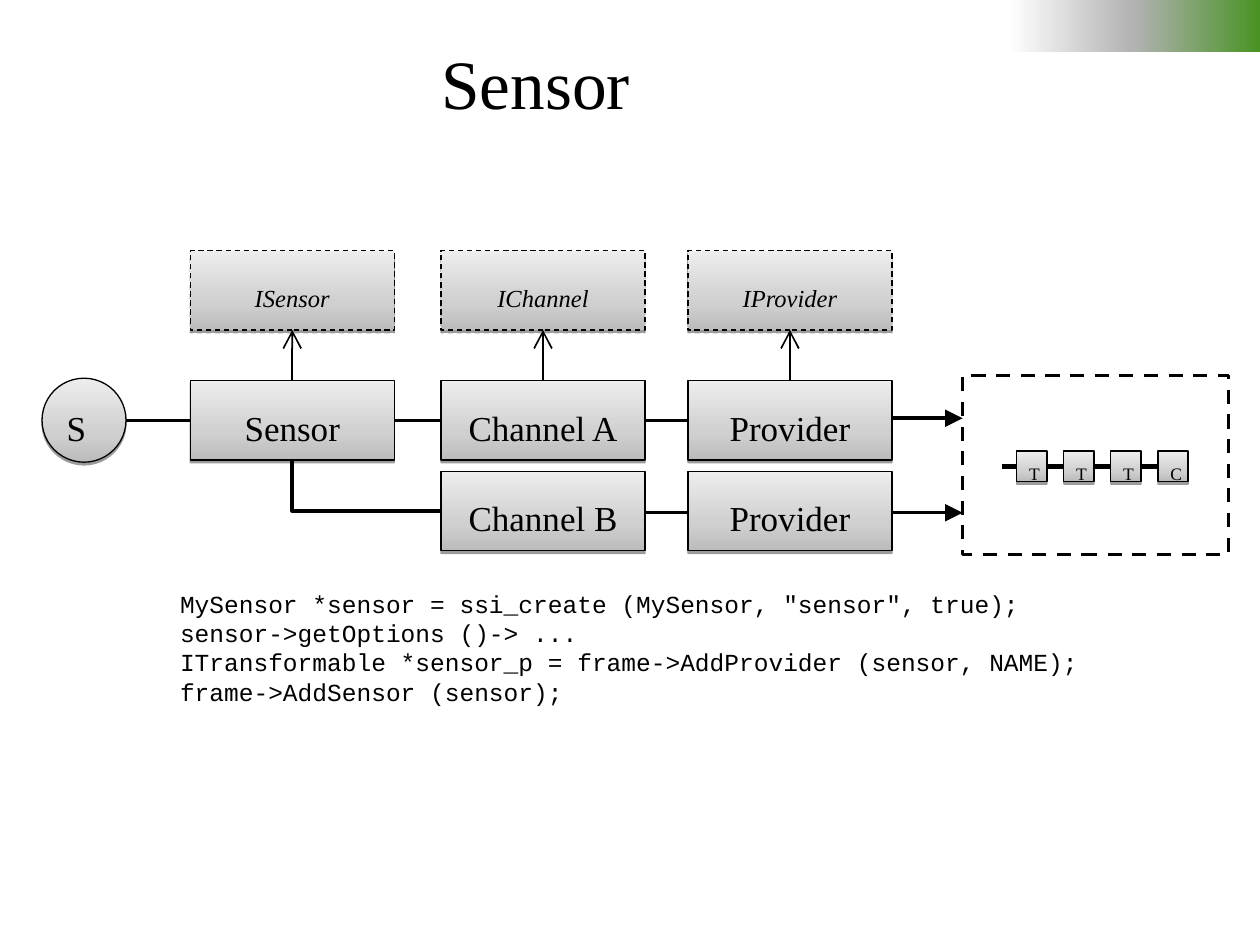
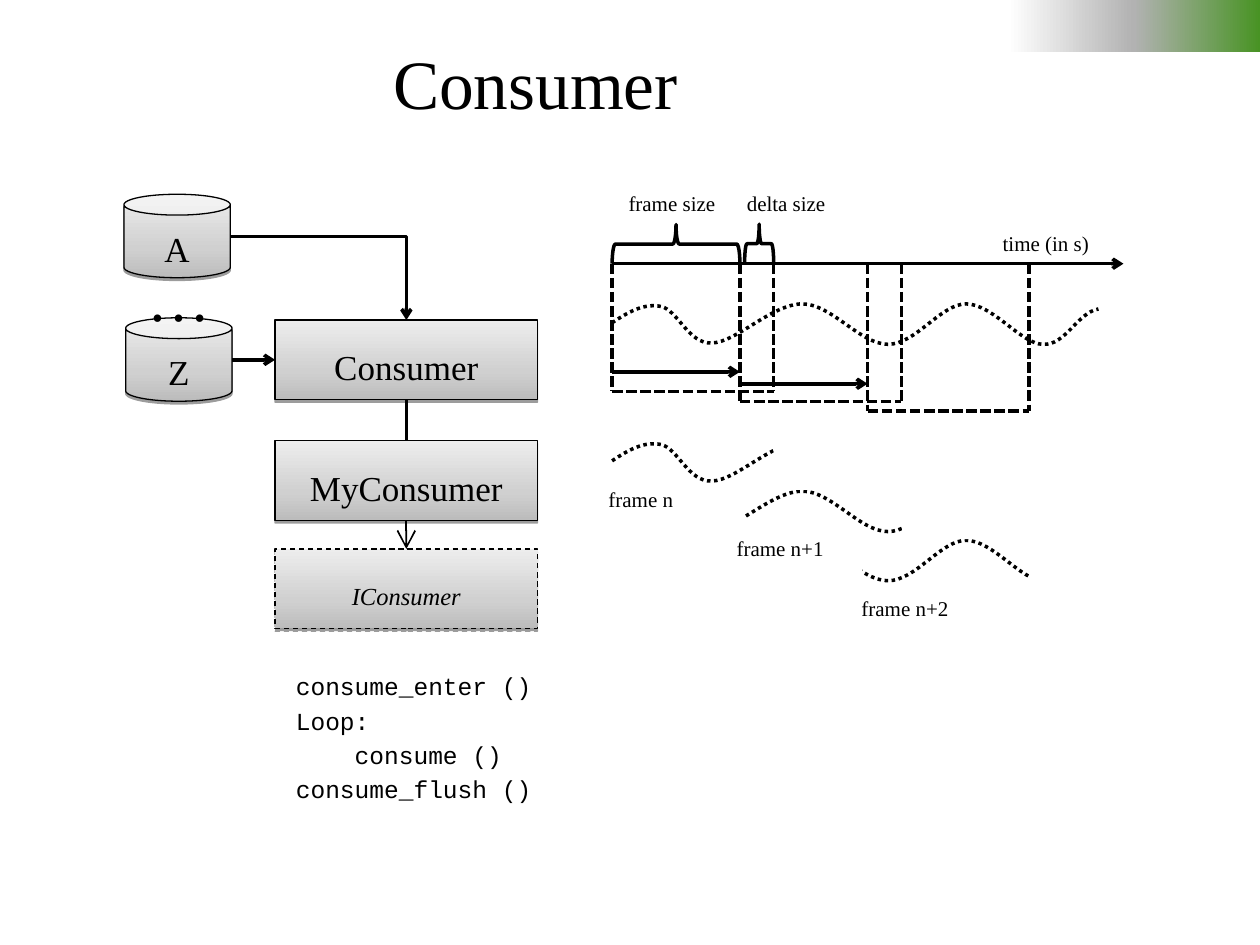
from lxml import etree
from pptx import Presentation
from pptx.dml.color import RGBColor
from pptx.enum.dml import MSO_LINE
from pptx.enum.shapes import MSO_CONNECTOR, MSO_SHAPE
from pptx.enum.text import MSO_ANCHOR, MSO_AUTO_SIZE, PP_ALIGN
from pptx.oxml import parse_xml
from pptx.oxml.ns import nsdecls, qn
from pptx.util import Pt

RECT, OVAL, CAN = MSO_SHAPE.RECTANGLE, MSO_SHAPE.OVAL, MSO_SHAPE.CAN
BRACE = MSO_SHAPE.LEFT_BRACE
DASH, SQUARE, ROUND = MSO_LINE.DASH, MSO_LINE.SQUARE_DOT, MSO_LINE.ROUND_DOT
STRAIGHT, ELBOW = MSO_CONNECTOR.STRAIGHT, MSO_CONNECTOR.ELBOW
LEFT, CENTER = PP_ALIGN.LEFT, PP_ALIGN.CENTER
TOP, MIDDLE = MSO_ANCHOR.TOP, MSO_ANCHOR.MIDDLE
GROW = MSO_AUTO_SIZE.SHAPE_TO_FIT_TEXT

COLORS = {"ink": "000000", "paper": "FFFFFF", "silver": "B2B2B2", "green": "489324",
          "dark": "BCBCBC", "mid": "D0D0D0", "light": "EDEDED"}
SERIF, MONO = "Times New Roman", "Courier New"
METAL = [(0, "dark"), (35, "mid"), (100, "light")]
BAND = [(80, "paper"), (90, "silver"), (100, "green")]
INSET = (7.2, 11.5, 7.2, 3.6)
PLAIN = (7.2, 3.6, 7.2, 3.6)
NODE_H = 45.4

# Start of the wave, then three Bezier points for each arc
WAVE = [(0, 11.5),
        (8.6, 5.8), (18, 0), (28.1, 2.2),
        (37.4, 4.3), (43.9, 23.8), (56.9, 23),
        (70.6, 23), (91.4, 0.7), (108.7, 0.7),
        (125.3, 0.7), (141.8, 23.8), (157.7, 23.8),
        (173.5, 23.8), (187.9, 0.7), (202.3, 0.7),
        (217.4, 0.7), (234, 23.8), (246.2, 23.8),
        (259.2, 24.5), (265.7, 5.8), (277.9, 3.6)]


def color(name):
    return RGBColor.from_string(COLORS[name])


def write(shape, text, size=20, font=SERIF, italic=False, align=CENTER, anchor=MIDDLE,
          inset=INSET, wrap=False, grow=False, before=0, pitch=None):
    """Fill a shape with one paragraph for each line of text."""
    frame = shape.text_frame
    frame.word_wrap = wrap
    frame.vertical_anchor = anchor
    frame.margin_left, frame.margin_top, frame.margin_right, frame.margin_bottom = map(Pt, inset)
    if grow:
        frame.auto_size = GROW
    for i, line in enumerate(text.split("\n")):
        para = frame.add_paragraph() if i else frame.paragraphs[0]
        para.alignment = align
        if i and before:
            para.space_before = Pt(before)
        if pitch:
            para.line_spacing = Pt(pitch)
        run = para.add_run()
        run.text = line
        run.font.size, run.font.name, run.font.italic = Pt(size), font, italic
        run.font.color.rgb = color("ink")


def note(slide, box, text, **style):
    area = slide.shapes.add_textbox(*map(Pt, box))
    write(area, text, **style)


def label(slide, x, y, w, text):
    note(slide, (x, y, w, 21.6), text, size=12, align=LEFT, anchor=TOP, inset=PLAIN, grow=True)


def code(slide, box, text, **style):
    note(slide, box, text, size=14, font=MONO, align=LEFT, anchor=TOP, inset=PLAIN,
         grow=True, pitch=16.75, **style)


def stroke(line, width, dash=None):
    line.color.rgb = color("ink")
    line.width = Pt(width)
    if dash:
        line.dash_style = dash


def blend(shape, stops, angle):
    """Give a shape a linear gradient."""
    shape.fill.background()
    props = shape._element.spPr
    marks = "".join(f'<a:gs pos="{at * 1000}"><a:srgbClr val="{COLORS[name]}"/></a:gs>'
                    for at, name in stops)
    props.replace(props.find(qn("a:noFill")), parse_xml(
        f'<a:gradFill {nsdecls("a")} rotWithShape="1"><a:gsLst>{marks}</a:gsLst>'
        f'<a:lin ang="{angle * 60000}" scaled="0"/></a:gradFill>'))


def node(slide, box, text, kind=RECT, dash=None, **style):
    """Draw a metallic shape with a crisp shadow and a caption."""
    shape = slide.shapes.add_shape(kind, *map(Pt, box))
    blend(shape, METAL, 270)
    stroke(shape.line, 0.75, dash)
    shape.shadow.inherit = False
    shape._element.spPr.find(qn("a:effectLst")).append(parse_xml(
        f'<a:outerShdw {nsdecls("a")} blurRad="0" dist="{Pt(1.6)}" dir="5400000" rotWithShape="0">'
        f'<a:srgbClr val="{COLORS["ink"]}"><a:alpha val="38000"/></a:srgbClr></a:outerShdw>'))
    write(shape, text, **style)
    return shape


def iface(slide, box, text):
    return node(slide, box, text, dash=DASH, size=14, italic=True)


def link(slide, start, end, width=2, head=None, large=False, dash=None, bend=False):
    """Join two ends, each a point (x, y) or a pair (shape, side)."""
    glued = [not isinstance(tip[0], (int, float)) for tip in (start, end)]
    spots = [(0, 0) if stuck else tip for stuck, tip in zip(glued, (start, end))]
    wire = slide.shapes.add_connector(ELBOW if bend else STRAIGHT,
                                      *(Pt(v) for spot in spots for v in spot))
    if glued[0]:
        wire.begin_connect(*start)
    if glued[1]:
        wire.end_connect(*end)
    stroke(wire.line, width, dash)
    props = wire._element.spPr
    if bend:
        props.find(qn("a:prstGeom")).set("prst", "bentConnector2")
    if head:
        scale = "lg" if large else "med"
        etree.SubElement(props.find(qn("a:ln")), qn("a:tailEnd"), type=head, w=scale, len=scale)
    etree.SubElement(props, qn("a:effectLst"))


def base(deck, title):
    """Add a slide with the top band and its title."""
    slide = deck.slides.add_slide(deck.slide_layouts[6])
    band = slide.shapes.add_shape(RECT, 0, 0, deck.slide_width, Pt(30))
    blend(band, BAND, 0)
    band.line.fill.background()
    band.shadow.inherit = False
    note(slide, (96, 21.6, 420, 50.4), title, size=39.6, inset=PLAIN, wrap=True)
    return slide


def chain(slide, box):
    """Draw the dashed frame with its row of small steps."""
    x, y, w, h = box
    frame = slide.shapes.add_shape(RECT, *map(Pt, box))
    frame.fill.background()
    frame.shadow.inherit = False
    stroke(frame.line, 2, DASH)
    side, step = 17.3, 26.9
    top = y + 43.2
    last = (x + 22.3, top + side / 2)
    for i, name in enumerate("TTTC"):
        part = node(slide, (x + 30.9 + i * step, top, side, side), name, size=10, align=LEFT)
        link(slide, last, (part, 1), width=3)
        last = (part, 3)


def flow(slide, box):
    """Draw the sensor, its channels and providers with their interfaces."""
    x, y, w, h = box
    cols = [x + dx for dx in (84.7, 228, 369.1)]
    wide, row_a, row_b = 116.6, y + 74.3, y + 126.1
    names = ["Sensor", "Channel A", "Provider"]
    upper = [node(slide, (col, row_a, wide, NODE_H), name) for col, name in zip(cols, names)]
    lower = [node(slide, (col, row_b, wide, NODE_H), name)
             for col, name in zip(cols[1:], ["Channel B", "Provider"])]
    for col, part, name in zip(cols, upper, ["ISensor", "IChannel", "IProvider"]):
        face = iface(slide, (col, y, wide, NODE_H), name)
        link(slide, (part, 0), (face, 2), width=1, head="arrow", large=True)
    node(slide, (x, y + 72.9, 48, 48), "S", kind=OVAL, align=LEFT)
    link(slide, (x + 48, row_a + NODE_H / 2), (upper[0], 1))
    for one, two in zip(upper, upper[1:]):
        link(slide, (one, 3), (two, 1))
    level = y + 149.8
    link(slide, (cols[1] + wide, level), (cols[2], level))
    link(slide, (lower[0], 1), (upper[0], 2), bend=True)
    goal = x + 526.1
    chain(slide, (goal, y + 71.4, w - 526.1, 102.2))
    for line in (y + 95.8, level):
        link(slide, (cols[2] + wide, line), (goal, line), head="triangle", large=True)


def stack(slide, box):
    """Draw the two stores and the consumer classes."""
    x, y, w, h = box
    left, wide = x + 86.4, w - 86.4
    main, mine = [node(slide, (left, y + dy, wide, NODE_H), name)
                  for dy, name in ((71.9, "Consumer"), (140.9, "MyConsumer"))]
    face = iface(slide, (left, y + 202.7, wide, NODE_H), "IConsumer")
    for dx, dy, name in ((0, 0, "A"), (1, 70.6, "Z")):
        node(slide, (x + dx, y + dy, 60.8, 47.7), name, kind=CAN)
    note(slide, (x + 5.7, y + 25.2, 51.1, 59), "…", size=36, anchor=TOP, grow=True)
    link(slide, (x + 61.8, y + 71.9 + NODE_H / 2), (main, 1), head="arrow")
    link(slide, (x + 60.8, y + 24.2), (main, 0), head="arrow", bend=True)
    link(slide, (main, 2), (mine, 0))
    link(slide, (mine, 2), (face, 0), width=1, head="arrow", large=True)


def wave(slide, x, y):
    """Draw the dotted wave, turning each three points into one Bezier arc."""
    dots = [(Pt(x + dx), Pt(y + dy)) for dx, dy in WAVE]
    pen = slide.shapes.build_freeform(*dots[0])
    pen.add_line_segments(dots[1:], close=False)
    trace = pen.convert_to_shape()
    trace.fill.background()
    trace.shadow.inherit = False
    stroke(trace.line, 2, ROUND)
    legs = list(trace._element.spPr.iter(qn("a:lnTo")))
    track = legs[0].getparent()
    for i in range(0, len(legs), 3):
        arc = etree.SubElement(track, qn("a:cubicBezTo"))
        for leg in legs[i:i + 3]:
            arc.append(leg[0])
            track.remove(leg)


def cover(slide, box):
    """Hide part of the waves behind a white box."""
    mask = slide.shapes.add_shape(RECT, *map(Pt, box))
    mask.fill.solid()
    mask.fill.fore_color.rgb = color("paper")
    mask.line.fill.background()
    mask.shadow.inherit = False


def brace(slide, box):
    """Draw a brace that opens downward and fills the box."""
    x, y, w, h = box
    mark = slide.shapes.add_shape(BRACE, *map(Pt, (x + (w - h) / 2, y + (h - w) / 2, h, w)))
    mark.rotation = 90
    mark.fill.background()
    mark.shadow.inherit = False
    stroke(mark.line, 2)


def time(slide, box):
    """Draw the time axis, its windows and the frames cut from the wave."""
    x, y, w, h = box
    step, span = 73, 92.3
    axis = y + 44.9
    link(slide, (x, axis), (x + w, axis), head="arrow")
    for i in range(3):
        near, far = x + i * step, x + i * step + span
        floor = axis + 72.9 + i * 5.7
        for start, end in (((near, axis), (near, floor)), ((far, axis), (far, floor)),
                           ((near, floor), (far, floor))):
            link(slide, start, end, dash=SQUARE)
    wave(slide, x, y + 67.2)
    brace(slide, (x, y + 22.5, step, 22.3))
    brace(slide, (x + 75.7, y + 22.3, 16.6, 22.3))
    label(slide, x + 2.3, y - 0.3, 64, "frame size")
    label(slide, x + 69.9, y - 0.3, 59.8, "delta size")
    label(slide, x + 216.1, y + 22.4, 64.8, "time (in s)")
    for i in range(3):
        wave(slide, x, y + 146.1 + i * 28.1)
    for dx, dy, wide, high in ((92.3, 140.4, 202.3, 33.8), (-14.3, 174.3, 90, 61.9),
                               (52.7, 196.6, 90, 44.6), (165.7, 134.7, 129.6, 67.7),
                               (238.4, 185.1, 44.6, 67.7)):
        cover(slide, (x + dx, y + dy, wide, high))
    for i in range(2):
        level = axis + 61.8 + i * 6.8
        link(slide, (x + i * step, level), (x + (i + 1) * step, level), head="arrow")
    for dx, dy, wide, text in ((-9.2, 168.5, 51.8, "frame n"), (64.1, 196.6, 64, "frame n+1"),
                               (135.4, 231.1, 64, "frame n+2")):
        label(slide, x + dx, y + dy, wide, text)


def main():
    deck = Presentation()
    deck.slide_width, deck.slide_height = Pt(720), Pt(540)

    slide = base(deck, "Sensor")
    flow(slide, (24, 143.2, 678, 174))
    code(slide, (95.8, 333, 530.6, 74.9),
         'MySensor *sensor = ssi_create (MySensor, "sensor", true);\n'
         "sensor->getOptions ()-> ...\n"
         "ITransformable *sensor_p = frame->AddProvider (sensor, NAME);\n"
         "frame->AddSensor (sensor);")

    slide = base(deck, "Consumer")
    stack(slide, (70.8, 111, 236.4, 248))
    time(slide, (349.8, 105.8, 292.2, 253))
    code(slide, (162, 380.1, 230.4, 85.7),
         "consume_enter ()\nLoop:\n    consume ()\nconsume_flush ()", wrap=True, before=2.8)
    deck.save("out.pptx")


if __name__ == "__main__":
    main()
